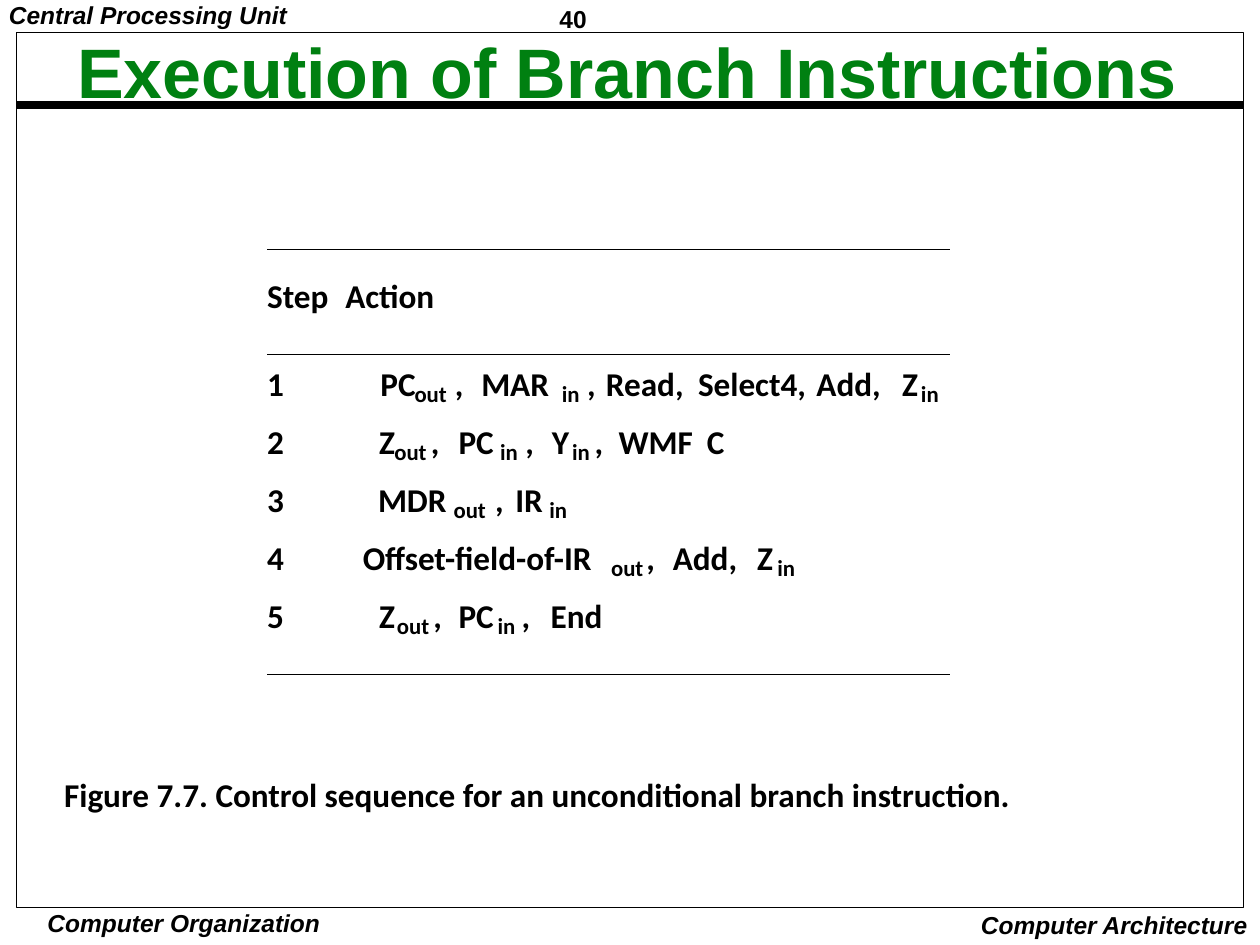
import pptx
import pptx.dml.color
import pptx.enum.shapes
import pptx.enum.text
import pptx.oxml
import pptx.util

Inches = pptx.util.Inches
ALIGN = pptx.enum.text.PP_ALIGN
ANCHOR = pptx.enum.text.MSO_ANCHOR

COLORS = {"ink": "000000", "title": "008011"}
STEP_LEFT, RULE_WIDTH = 2.12, 5.42
HEADER_TOP, FIRST_ROW, ROW_PITCH = 2.22, 2.92, 0.46
TEXT_HEIGHT, SUB_HEIGHT, SUB_DROP = 0.29, 0.2, 0.12

# Width of every word that appears in the control sequence
WIDTHS = {
    "PC": 0.33, "MAR": 0.6, "Read,": 0.73, "Select4,": 1.01, "Add,": 0.59,
    "Z": 0.15, "Y": 0.16, "WMF": 0.65, "C": 0.17, "MDR": 0.62, "IR": 0.28,
    "Offset-field-of-IR": 2.2, "End": 0.49, ",": 0.08, "out": 0.31, "in": 0.17,
}
SUBSCRIPTS = ("out", "in")

# One list per step: left edge and word
STEPS = [
    [(3.02, "PC"), (3.29, "out"), (3.61, ","), (3.82, "MAR"), (4.46, "in"),
     (4.66, ","), (4.81, "Read,"), (5.54, "Select4,"), (6.48, "Add,"),
     (7.16, "Z"), (7.31, "in")],
    [(3.01, "Z"), (3.13, "out"), (3.42, ","), (3.64, "PC"), (3.97, "in"),
     (4.17, ","), (4.38, "Y"), (4.54, "in"), (4.72, ","), (4.91, "WMF"),
     (5.61, "C")],
    [(3, "MDR"), (3.6, "out"), (3.93, ","), (4.09, "IR"), (4.36, "in")],
    [(2.88, "Offset-field-of-IR"), (4.85, "out"), (5.13, ","),
     (5.34, "Add,"), (6.01, "Z"), (6.17, "in")],
    [(3.01, "Z"), (3.15, "out"), (3.44, ","), (3.64, "PC"), (3.95, "in"),
     (4.14, ","), (4.37, "End")],
]


def color(name):
    return pptx.dml.color.RGBColor.from_string(COLORS[name])


def write_text(shape, text, size=19, font="Calibri", ink="ink", italic=False,
               align=ALIGN.LEFT, spacing=0.9, insets=(0, 0), wrap=False,
               anchor=ANCHOR.TOP):
    frame = shape.text_frame
    frame.word_wrap = wrap
    frame.vertical_anchor = anchor
    frame.margin_left = frame.margin_right = Inches(insets[0])
    frame.margin_top = frame.margin_bottom = Inches(insets[1])
    paragraph = frame.paragraphs[0]
    paragraph.alignment = align
    paragraph.line_spacing = spacing
    run = paragraph.add_run()
    run.text = text
    run.font.size = pptx.util.Pt(size)
    run.font.name = font
    run.font.bold = True
    run.font.italic = italic
    run.font.color.rgb = color(ink)


def add_text(slide, box, text, **text_format):
    shape = slide.shapes.add_textbox(*map(Inches, box))
    write_text(shape, text, **text_format)
    shape.text_frame.auto_size = pptx.enum.text.MSO_AUTO_SIZE.SHAPE_TO_FIT_TEXT


def add_rule(slide, left, top, width, weight=0.5):
    """Draw a horizontal line."""
    line = slide.shapes.add_connector(
        pptx.enum.shapes.MSO_CONNECTOR.STRAIGHT,
        *map(Inches, (left, top, left + width, top)))
    line.line.color.rgb = color("ink")
    line.line.width = pptx.util.Pt(weight)
    line._element.spPr.append(pptx.oxml.parse_xml(
        '<a:effectLst xmlns:a='
        '"http://schemas.openxmlformats.org/drawingml/2006/main"/>'))


def add_frame(slide):
    frame = slide.shapes.add_shape(
        pptx.enum.shapes.MSO_SHAPE.RECTANGLE,
        *map(Inches, (0.13, 0.26, 9.74, 6.94)))
    frame.shadow.inherit = False
    frame.fill.background()
    frame.line.color.rgb = color("ink")
    frame.line.width = pptx.util.Pt(0.5)


def add_page_labels(slide):
    label = {"size": 14, "font": "Arial"}
    add_text(slide, (4.37, 0, 1.08, 0.29), "40", spacing=1,
             insets=(0.07, 0.03), **label)
    add_text(slide, (0.31, 7.2, 2.3, 0.26), "Computer Organization",
             italic=True, align=ALIGN.CENTER, spacing=1,
             insets=(0.03, 0.01), **label)
    add_text(slide, (7.68, 7.17, 2.32, 0.33), "Computer Architecture",
             italic=True, align=ALIGN.RIGHT, spacing=1,
             insets=(0.1, 0.05), **label)
    add_text(slide, (0, 0, 2.45, 0.27), "Central Processing Unit",
             italic=True, insets=(0.07, 0.03), **label)


def add_title(slide, text):
    title = slide.shapes.title
    title.left, title.top, title.width, title.height = map(
        Inches, (0.16, 0.24, 9.63, 0.66))
    write_text(title, text, size=40, font="Arial", ink="title", wrap=True,
               align=ALIGN.CENTER, insets=(0.1, 0), anchor=ANCHOR.BOTTOM)


def add_step(slide, number, words):
    top = FIRST_ROW + (number - 1) * ROW_PITCH
    add_text(slide, (STEP_LEFT, top, 0.15, TEXT_HEIGHT), str(number))
    for left, word in words:
        if word in SUBSCRIPTS:
            box = (left, top + SUB_DROP, WIDTHS[word], SUB_HEIGHT)
            add_text(slide, box, word, size=13)
        else:
            add_text(slide, (left, top, WIDTHS[word], TEXT_HEIGHT), word)


def add_control_sequence(slide):
    for top in (1.98, 2.81, 5.35):
        add_rule(slide, STEP_LEFT, top, RULE_WIDTH)
    add_text(slide, (STEP_LEFT, HEADER_TOP, 0.58, TEXT_HEIGHT), "Step")
    add_text(slide, (2.74, HEADER_TOP, 0.85, TEXT_HEIGHT), "Action")
    for number, words in enumerate(STEPS, start=1):
        add_step(slide, number, words)
    add_text(slide, (0.51, 6.18, 9.14, TEXT_HEIGHT),
             "Figure 7.7. Control sequence for an unconditional branch "
             "instruction.")


def main():
    presentation = pptx.Presentation()
    presentation.slide_width = Inches(10)
    presentation.slide_height = Inches(7.5)
    slide = presentation.slides.add_slide(presentation.slide_layouts[5])
    add_rule(slide, 0.13, 0.83, 9.74, weight=4.5)
    add_frame(slide)
    add_title(slide, "Execution of Branch Instructions")
    add_control_sequence(slide)
    add_page_labels(slide)
    presentation.save("out.pptx")


if __name__ == "__main__":
    main()
